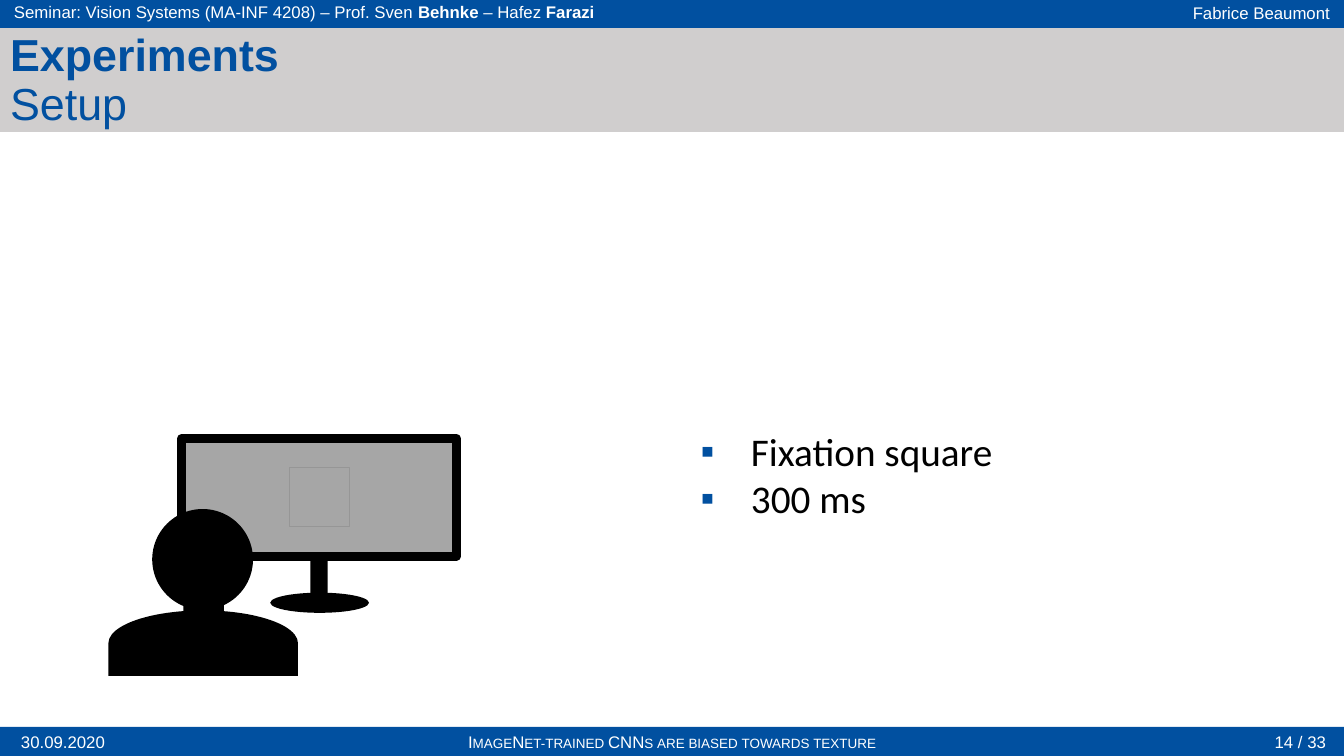
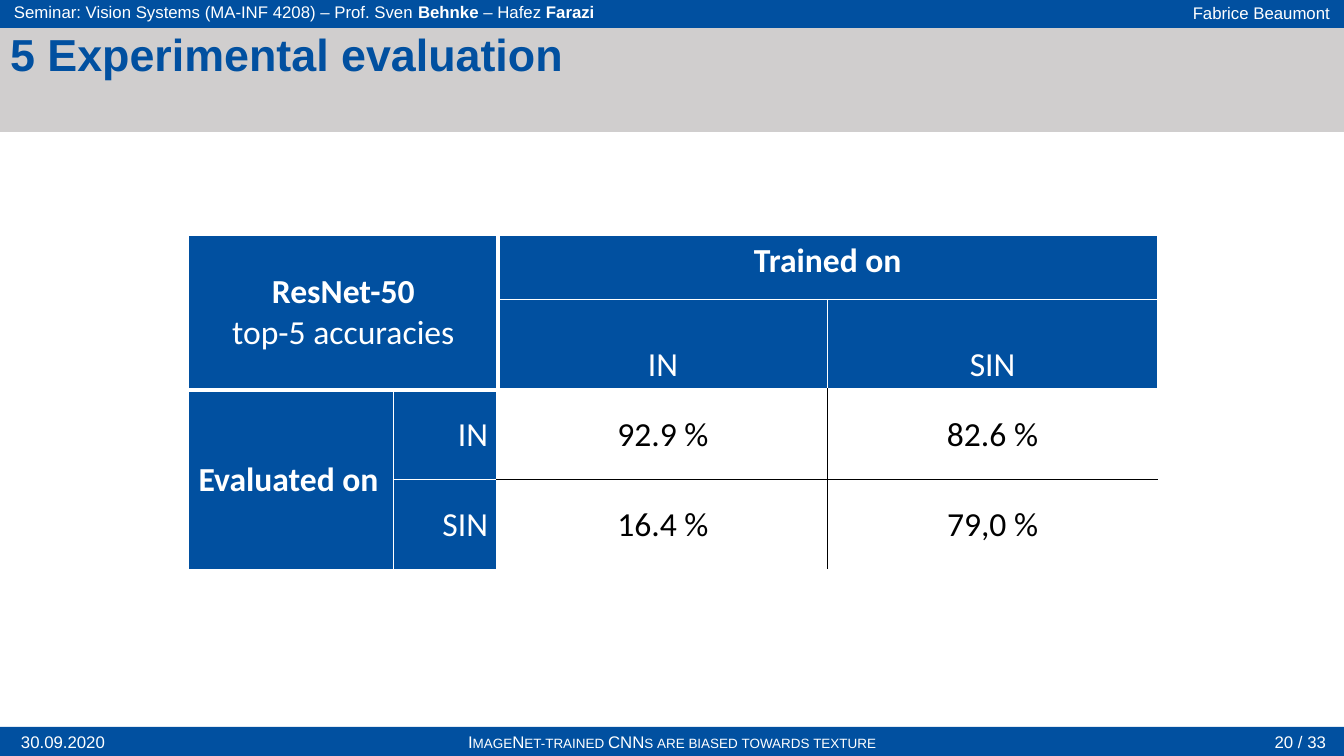
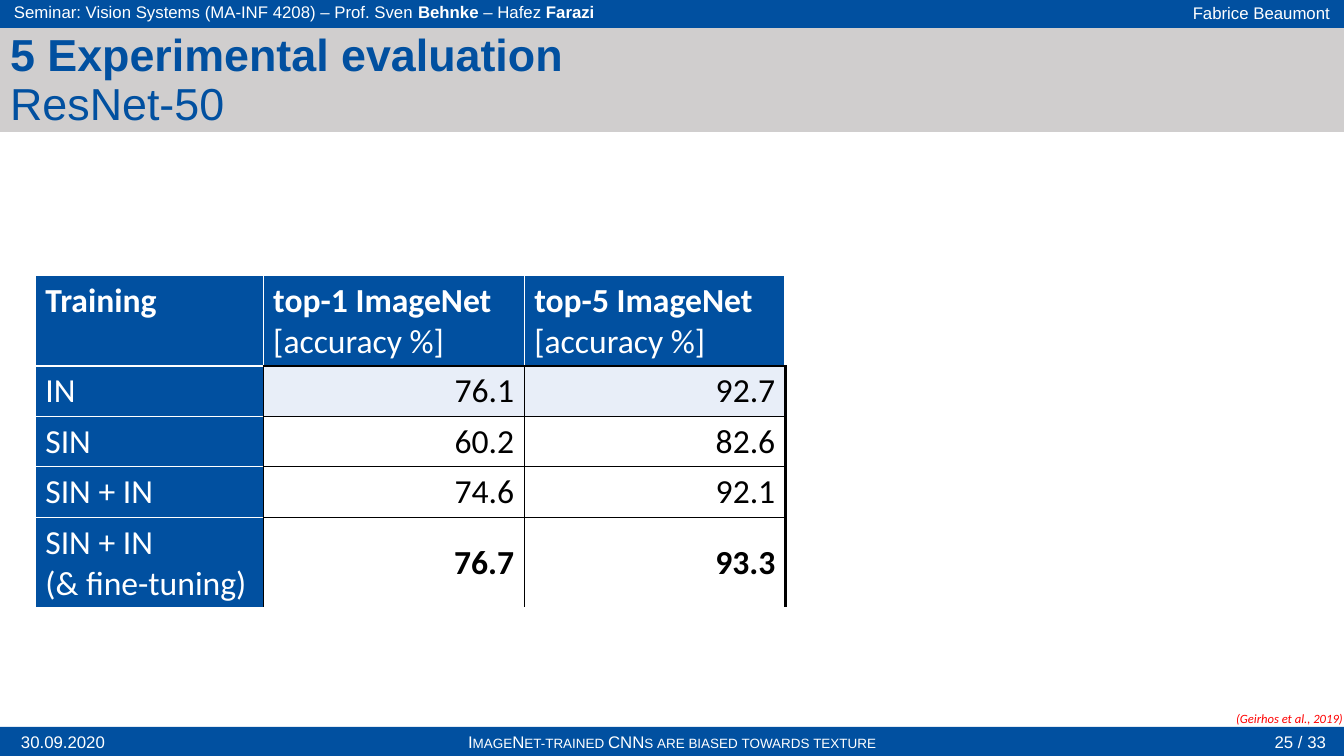
from lxml import etree
from pptx import Presentation
from pptx.dml.color import RGBColor
from pptx.enum.shapes import MSO_SHAPE
from pptx.enum.text import MSO_ANCHOR, MSO_AUTO_SIZE, PP_ALIGN
from pptx.oxml.ns import qn
from pptx.util import Inches, Pt

BLUE = RGBColor(0x01, 0x50, 0xA0)
GREY = RGBColor(0xD0, 0xCE, 0xCE)
SCREEN = RGBColor(0xA6, 0xA6, 0xA6)
FAINT = RGBColor(0x96, 0x96, 0x96)
PALE = RGBColor(0xE8, 0xEE, 0xF8)
WHITE = RGBColor(0xFF, 0xFF, 0xFF)
BLACK = RGBColor(0, 0, 0)
RED = RGBColor(0xFF, 0, 0)

LEFT, CENTER, RIGHT = PP_ALIGN.LEFT, PP_ALIGN.CENTER, PP_ALIGN.RIGHT
TOP, MIDDLE, BOTTOM = MSO_ANCHOR.TOP, MSO_ANCHOR.MIDDLE, MSO_ANCHOR.BOTTOM
NO_AUTOFIT = MSO_AUTO_SIZE.NONE
RECTANGLE, OVAL, DELAY = MSO_SHAPE.RECTANGLE, MSO_SHAPE.OVAL, MSO_SHAPE.FLOWCHART_DELAY

TITLE_ONLY = 5
SLIDE_WIDTH = 13.33
BAND_HEIGHT = 0.29
FOOTER_TOP = 7.21
PAGE_COUNT = 33

BAND_FONT = {"name": "Arial", "size": Pt(12), "color": WHITE}
TITLE_FONT = {"name": "Arial", "size": Pt(32), "color": BLUE}
BODY_FONT = {"name": "Calibri", "size": Pt(28), "color": BLACK}
CELL_FONT = {"name": "Calibri", "size": Pt(24), "color": BLACK}
HEAD_FONT = {**CELL_FONT, "color": WHITE}
CITATION_FONT = {"name": "Calibri", "size": Pt(9), "italic": True, "color": RED}

# One letter per cell side, in the order left, right, top, bottom
BORDERS = {"w": (WHITE, 1), "W": (WHITE, 3), "k": (BLACK, 1), "K": (BLACK, 3)}
SIDES = ("a:lnL", "a:lnR", "a:lnT", "a:lnB")


def inches(*lengths):
    return [Inches(length) for length in lengths]


def write(paragraph, runs, font, align=LEFT):
    """Fill a paragraph with (text, bold) runs; a newline is a line break."""
    paragraph.alignment = align
    for text, bold in runs:
        for index, line in enumerate(text.split("\n")):
            if index:
                paragraph.add_line_break()
            if line:
                run = paragraph.add_run()
                run.text = line
                for name, value in {**font, "bold": bold}.items():
                    if name == "color":
                        run.font.color.rgb = value
                    else:
                        setattr(run.font, name, value)


def add_bullet(paragraph):
    properties = paragraph._p.get_or_add_pPr()
    properties.set("marL", str(Inches(0.5)))
    properties.set("indent", str(Inches(-0.5)))
    color = etree.SubElement(properties, qn("a:buClr"))
    etree.SubElement(color, qn("a:srgbClr"), val=str(BLUE))
    etree.SubElement(properties, qn("a:buFont"), typeface="Arial")
    etree.SubElement(properties, qn("a:buChar"), char="▪")


def set_borders(cell, codes):
    properties = cell._tc.get_or_add_tcPr()
    for side, code in zip(SIDES, codes):
        color, width = BORDERS[code]
        line = etree.SubElement(properties, qn(side), w=str(Pt(width)))
        fill = etree.SubElement(line, qn("a:solidFill"))
        etree.SubElement(fill, qn("a:srgbClr"), val=str(color))


def head(runs, align=LEFT, anchor=MIDDLE):
    return runs, HEAD_FONT, align, anchor, BLUE


def value(text, align, bold=False, fill=None):
    return [(text, bold)], CELL_FONT, align, MIDDLE, fill


class Deck:
    def __init__(self):
        self.presentation = Presentation()
        self.presentation.slide_width = Inches(SLIDE_WIDTH)
        self.presentation.slide_height = Inches(7.5)
        self.layout = self.presentation.slide_layouts[TITLE_ONLY]
        self.slide = None

    def add_slide(self, title, subtitle, page):
        first = self.slide is None
        self.slide = self.presentation.slides.add_slide(self.layout)
        if first:
            self.fill_layout()
        shape = self.slide.shapes.title
        shape.left, shape.top, shape.width, shape.height = inches(0, 0.28, 11.5, 0.53)
        frame = shape.text_frame
        frame.auto_size, frame.word_wrap, frame.vertical_anchor = NO_AUTOFIT, True, TOP
        paragraph = frame.paragraphs[0]
        paragraph.line_spacing = 0.9
        runs = [(title, True)] + ([("\n" + subtitle, False)] if subtitle else [])
        write(paragraph, runs, TITLE_FONT)
        self.band_text((12.34, FOOTER_TOP, 0.91), [(f"{page} / {PAGE_COUNT}", False)], RIGHT)

    def fill_layout(self):
        """Draw the bands and their text once and move them to the layout."""
        for placeholder in list(self.layout.placeholders)[1:]:
            placeholder._element.getparent().remove(placeholder._element)
        bands = [self.shape(RECTANGLE, (0, top, SLIDE_WIDTH, height), fill)
                 for top, height, fill in ((FOOTER_TOP, BAND_HEIGHT, BLUE),
                                           (-0.01, BAND_HEIGHT, BLUE),
                                           (0.28, 1.03, GREY))]
        author = self.band_text((10.41, -0.02, 2.88), [("Fabrice Beaumont", False)], RIGHT)
        date = self.band_text((0.02, FOOTER_TOP, 1.21), [("30.09.2020", False)], CENTER)
        topic = self.band_text((3.99, FOOTER_TOP, 5.35),
                               [("ImageNet-trained CNNs are biased towards texture", False)],
                               CENTER)
        for run in topic.text_frame.paragraphs[0].runs:
            run._r.get_or_add_rPr().set("cap", "small")
        seminar = self.band_text((0.04, -0.03, 8.25), [
            ("Seminar: Vision Systems (MA-INF 4208) – Prof. Sven ", False),
            ("Behnke", True), (" – Hafez ", False), ("Farazi", True)], LEFT)
        for shape in (*bands, author, date, topic, seminar):
            self.layout.shapes._spTree.append(shape._element)

    def shape(self, kind, box, fill=None, line=None, parent=None, rotation=0):
        """Add a preset shape; line is (colour, points)."""
        shape = (parent or self.slide).shapes.add_shape(kind, *inches(*box))
        shape.shadow.inherit = False
        shape.rotation = rotation
        if fill is None:
            shape.fill.background()
        else:
            shape.fill.solid()
            shape.fill.fore_color.rgb = fill
        if line is None:
            shape.line.fill.background()
        else:
            shape.line.color.rgb, shape.line.width = line[0], Pt(line[1])
        return shape

    def text(self, box, paragraphs, font, align=LEFT, bullets=False, **frame_format):
        shape = self.slide.shapes.add_textbox(*inches(*box))
        frame = shape.text_frame
        for name, setting in {"word_wrap": True, **frame_format}.items():
            setattr(frame, name, setting)
        for index, runs in enumerate(paragraphs):
            paragraph = frame.add_paragraph() if index else frame.paragraphs[0]
            if bullets:
                add_bullet(paragraph)
            write(paragraph, runs, font, align)
        return shape

    def band_text(self, place, runs, align):
        return self.text((*place, BAND_HEIGHT), [runs], BAND_FONT, align,
                         vertical_anchor=MIDDLE)

    def table(self, place, widths, heights, cells, borders, merges=()):
        """Add a table; cells maps (row, column) to content, borders is a grid of codes."""
        box = inches(*place, sum(widths), sum(heights))
        table = self.slide.shapes.add_table(len(heights), len(widths), *box).table
        table.first_row = table.horz_banding = False
        for column, width in zip(table.columns, widths):
            column.width = Inches(width)
        for row, height in zip(table.rows, heights):
            row.height = Inches(height)
        for row, codes in enumerate(borders):
            for column, code in enumerate(codes.split()):
                set_borders(table.cell(row, column), code)
        for start, end in merges:
            table.cell(*start).merge(table.cell(*end))
        for position, (runs, font, align, anchor, fill) in cells.items():
            cell = table.cell(*position)
            cell.vertical_anchor = anchor
            write(cell.text_frame.paragraphs[0], runs, font, align)
            if fill is None:
                cell.fill.background()
            else:
                cell.fill.solid()
                cell.fill.fore_color.rgb = fill

    def viewer(self):
        """Draw a person in front of a monitor that shows the fixation square."""
        group = self.slide.shapes.add_group_shape()
        for kind, box, fill, line, rotation in (
                (RECTANGLE, (1.8, 4.35, 2.73, 1.17), SCREEN, (BLACK, 6), 0),
                (RECTANGLE, (3.08, 5.51, 0.17, 0.41), BLACK, None, 0),
                (OVAL, (2.68, 5.88, 0.98, 0.2), BLACK, None, 0),
                (OVAL, (1.51, 5.05, 1, 1), BLACK, None, 0),
                (DELAY, (1.69, 5.44, 0.65, 1.88), BLACK, None, 270),
                (RECTANGLE, (1.82, 5.82, 0.4, 0.47), BLACK, None, 0),
                (RECTANGLE, (2.87, 4.63, 0.59, 0.59), None, (FAINT, 0.25), 0)):
            self.shape(kind, box, fill, line, group, rotation)


def setup_slide(deck):
    deck.add_slide("Experiments", "Setup", 14)
    deck.viewer()
    deck.text((6.85, 4.19, 3.13, 1.04),
              [[("Fixation square", False)], [("300 ms", False)]],
              BODY_FONT, bullets=True, word_wrap=False)


def evaluation_slide(deck):
    deck.add_slide("5 Experimental evaluation", None, 20)
    cells = {
        (0, 0): head([("ResNet-50", True), ("\ntop-5 accuracies", False)], CENTER),
        (0, 2): head([("Trained on", True)], CENTER, TOP),
        (2, 0): head([("Evaluated on", True)]),
    }
    accuracies = (("92.9 %", "82.6 %"), ("16.4 %", "79,0 %"))
    for index, name in enumerate(("IN", "SIN")):
        cells[1, 2 + index] = head([(name, False)], CENTER, BOTTOM)
        cells[2 + index, 1] = head([(name, False)], RIGHT)
        for column, accuracy in enumerate(accuracies[index], start=2):
            cells[2 + index, column] = value(accuracy, CENTER)
    deck.table((1.87, 2.34), (2.03, 1.04, 3.27, 3.27), (0.63, 0.89, 0.89, 0.89), cells,
               ("wWwW wWwW Wwww wwww",
                "wWwW wWwW WwwW wwwW",
                "wwWw wWWw WkWk kwWk",
                "wwww wWww Wkkw kwkw"),
               (((0, 0), (1, 1)), ((0, 2), (0, 3)), ((2, 0), (3, 0))))


def resnet_slide(deck):
    deck.add_slide("5 Experimental evaluation", "ResNet-50", 25)
    cells = {(0, 0): head([("Training", True)], anchor=TOP)}
    for column, rank in ((1, "top-1"), (2, "top-5")):
        cells[0, column] = head([(f"{rank} ImageNet", True), ("\n[accuracy %]", False)],
                                anchor=TOP)
    results = (("IN", "76.1", "92.7"), ("SIN", "60.2", "82.6"),
               ("SIN + IN", "74.6", "92.1"), ("SIN + IN\n(& fine-tuning)", "76.7", "93.3"))
    for row, (training, *accuracies) in enumerate(results, start=1):
        cells[row, 0] = head([(training, False)], anchor=TOP)
        for column, accuracy in enumerate(accuracies, start=1):
            cells[row, column] = value(accuracy, RIGHT, bold=row == len(results),
                                       fill=PALE if row == 1 else None)
    deck.table((0.35, 2.73), (2.26, 2.59, 2.59), (0.9, 0.5, 0.5, 0.5, 0.9), cells,
               ("wwww wwwk wWwk", *["wkww kkkk kKkk"] * 3, "wkww kkkw kKkw"))
    deck.text((12.26, 7.05, 1.07, 0.15), [[("(Geirhos et al., 2019)", False)]], CITATION_FONT,
              margin_left=0, margin_right=0, margin_top=0, margin_bottom=0)


def main():
    deck = Deck()
    setup_slide(deck)
    evaluation_slide(deck)
    resnet_slide(deck)
    deck.presentation.save("out.pptx")


if __name__ == "__main__":
    main()
